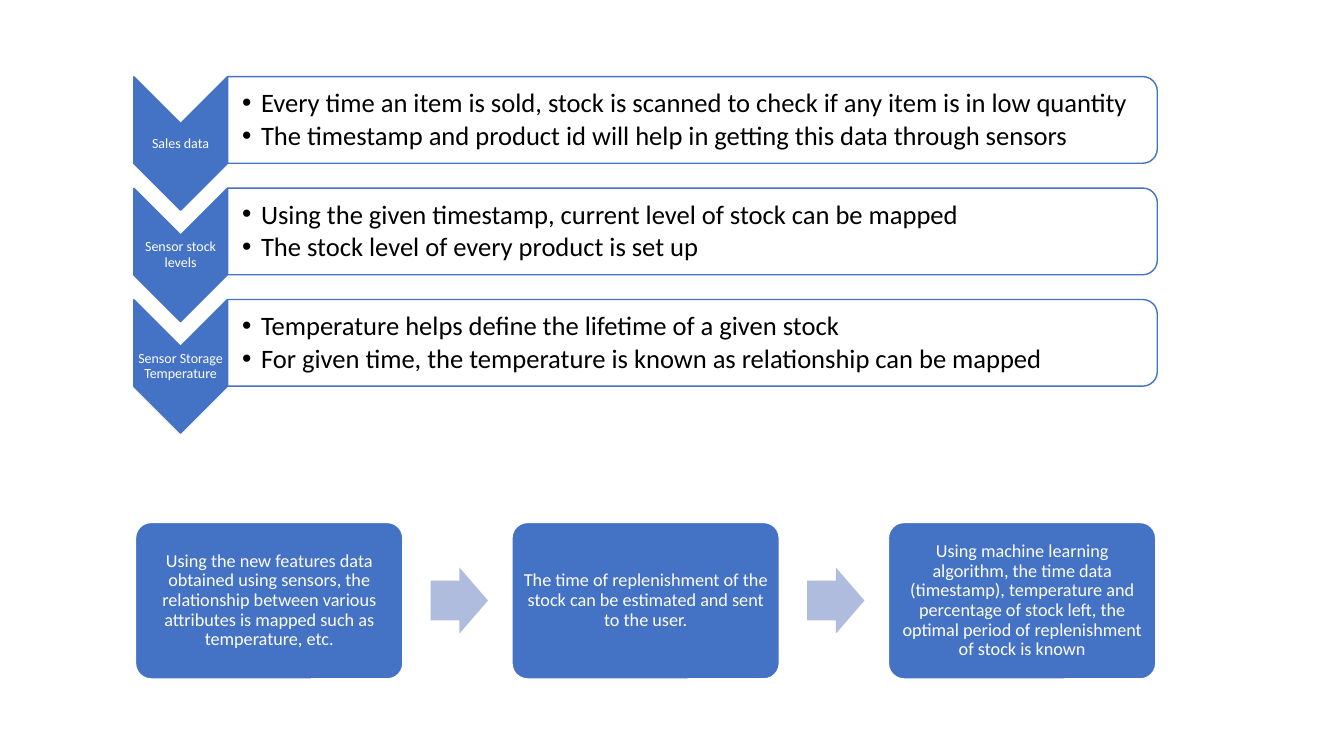
from dataclasses import dataclass

import pptx
import pptx.dml.color
import pptx.enum.shapes
import pptx.enum.text
import pptx.oxml
import pptx.oxml.ns
import pptx.shapes.autoshape
import pptx.slide
import pptx.text.text
import pptx.util

Pt = pptx.util.Pt
RGBColor = pptx.dml.color.RGBColor
Preset = pptx.enum.shapes.MSO_SHAPE
Align = pptx.enum.text.PP_ALIGN

BLUE = RGBColor(0x44, 0x72, 0xC4)
PALE_BLUE = RGBColor(0xB0, 0xBC, 0xDE)
WHITE = RGBColor(0xFF, 0xFF, 0xFF)
BLACK = RGBColor(0, 0, 0)
FONT = "Calibri"


@dataclass(frozen=True)
class Box:
    left: float
    top: float
    width: float
    height: float

    def down(self, distance: float) -> "Box":
        return Box(self.left, self.top + distance, self.width, self.height)

    def right(self, distance: float) -> "Box":
        return Box(self.left + distance, self.top, self.width, self.height)

    def lengths(self) -> list[pptx.util.Length]:
        return [Pt(value) for value in (self.left, self.top, self.width, self.height)]


@dataclass(frozen=True)
class DataSource:
    label: str
    points: tuple[str, ...]


SOURCES = (
    DataSource("Sales data", (
        "Every time an item is sold, stock is scanned to check if any item is in low quantity",
        "The timestamp and product id will help in getting this data through sensors",
    )),
    DataSource("Sensor stock levels", (
        "Using the given timestamp, current level of stock can be mapped",
        "The stock level of every product is set up",
    )),
    DataSource("Sensor Storage Temperature", (
        "Temperature helps define the lifetime of a given stock",
        "For given time, the temperature is known as relationship can be mapped",
    )),
)
STEPS = (
    "Using the new features data obtained using sensors, the relationship between various "
    "attributes is mapped such as temperature, etc.",
    "The time of replenishment of the stock can be estimated and sent to the user.",
    "Using machine learning algorithm, the time data (timestamp), temperature and percentage "
    "of stock left, the optimal period of replenishment of stock is known",
)

CHEVRON = Box(81.3, 69.2, 95.3, 66.7)
CHEVRON_LABEL = Box(95.6, 88.2, 66.7, 28.6)
PANEL = Box(463.7, -246.3, 61.9, 664)
PANEL_TEXT = Box(162.4, 58, 661, 56)
SOURCE_PITCH = 79.6
STEP = Box(96.8, 373.2, 191, 111.8)
ARROW = Box(307.6, 405.3, 41, 47.4)
STEP_PITCH = 268.9


def add_shape(slide: pptx.slide.Slide, preset: Preset, box: Box, fill: RGBColor,
              line: RGBColor | None = None, rotation: float = 0) -> pptx.shapes.autoshape.Shape:
    shape = slide.shapes.add_shape(preset, *box.lengths())
    shape.shadow.inherit = False
    shape.rotation = rotation
    shape.fill.solid()
    shape.fill.fore_color.rgb = fill
    if line is None:
        shape.line.fill.background()
    else:
        shape.line.color.rgb = line
        shape.line.width = Pt(1)
    return shape


def set_opacity(shape: pptx.shapes.autoshape.Shape, percent: int) -> None:
    color = shape.fill._xPr.find(".//" + pptx.oxml.ns.qn("a:srgbClr"))
    alpha = pptx.oxml.parse_xml(
        f'<a:alpha {pptx.oxml.ns.nsdecls("a")} val="{percent * 1000}"/>')
    color.append(alpha)


def add_bullet(paragraph: pptx.text.text._Paragraph) -> None:
    properties = paragraph._p.get_or_add_pPr()
    properties.set("marL", str(Pt(13.5)))
    properties.set("indent", str(-Pt(13.5)))
    for tag in ('buFont {} typeface="Arial"', 'buChar {} char="•"'):
        properties.append(pptx.oxml.parse_xml(
            f'<a:{tag.format(pptx.oxml.ns.nsdecls("a"))}/>'))


def write_text(shape: pptx.shapes.autoshape.Shape, lines: tuple[str, ...], size: float,
               color: RGBColor, margin: float, left_margin: float | None = None,
               bulleted: bool = False) -> None:
    frame = shape.text_frame
    frame.word_wrap = True
    frame.vertical_anchor = pptx.enum.text.MSO_ANCHOR.MIDDLE
    frame.margin_top = frame.margin_right = frame.margin_bottom = Pt(margin)
    frame.margin_left = Pt(margin if left_margin is None else left_margin)
    for index, line in enumerate(lines):
        paragraph = frame.add_paragraph() if index else frame.paragraphs[0]
        paragraph.alignment = Align.LEFT if bulleted else Align.CENTER
        paragraph.line_spacing = 0.9
        if bulleted:
            paragraph.level = 1
            paragraph.space_after = Pt(2.85)
            add_bullet(paragraph)
        run = paragraph.add_run()
        run.text = line
        run.font.name = FONT
        run.font.size = Pt(size)
        run.font.color.rgb = color


def draw_source(slide: pptx.slide.Slide, source: DataSource, offset: float) -> None:
    add_shape(slide, Preset.CHEVRON, CHEVRON.down(offset), BLUE, BLUE, 90)
    label = slide.shapes.add_textbox(*CHEVRON_LABEL.down(offset).lengths())
    write_text(label, (source.label,), 10, WHITE, 0.5)
    panel = add_shape(slide, Preset.ROUND_2_SAME_RECTANGLE, PANEL.down(offset),
                      WHITE, BLUE, 90)
    set_opacity(panel, 90)
    points = slide.shapes.add_textbox(*PANEL_TEXT.down(offset).lengths())
    write_text(points, source.points, 19, BLACK, 0.9, 10.6, True)


def draw_step(slide: pptx.slide.Slide, text: str, offset: float) -> None:
    step = add_shape(slide, Preset.ROUNDED_RECTANGLE, STEP.right(offset), BLUE, WHITE)
    step.adjustments[0] = 0.1
    write_text(step, (text,), 13, WHITE, 3.6)


def draw_arrow(slide: pptx.slide.Slide, offset: float) -> None:
    arrow = add_shape(slide, Preset.RIGHT_ARROW, ARROW.right(offset), PALE_BLUE)
    arrow.adjustments[0] = 0.6
    arrow.adjustments[1] = 0.5


presentation = pptx.Presentation()
presentation.slide_width = Pt(960)
presentation.slide_height = Pt(540)
slide = presentation.slides.add_slide(presentation.slide_layouts[6])

for row, source in enumerate(SOURCES):
    draw_source(slide, source, row * SOURCE_PITCH)
for column, text in enumerate(STEPS):
    if column:
        draw_arrow(slide, (column - 1) * STEP_PITCH)
    draw_step(slide, text, column * STEP_PITCH)

presentation.save("out.pptx")
